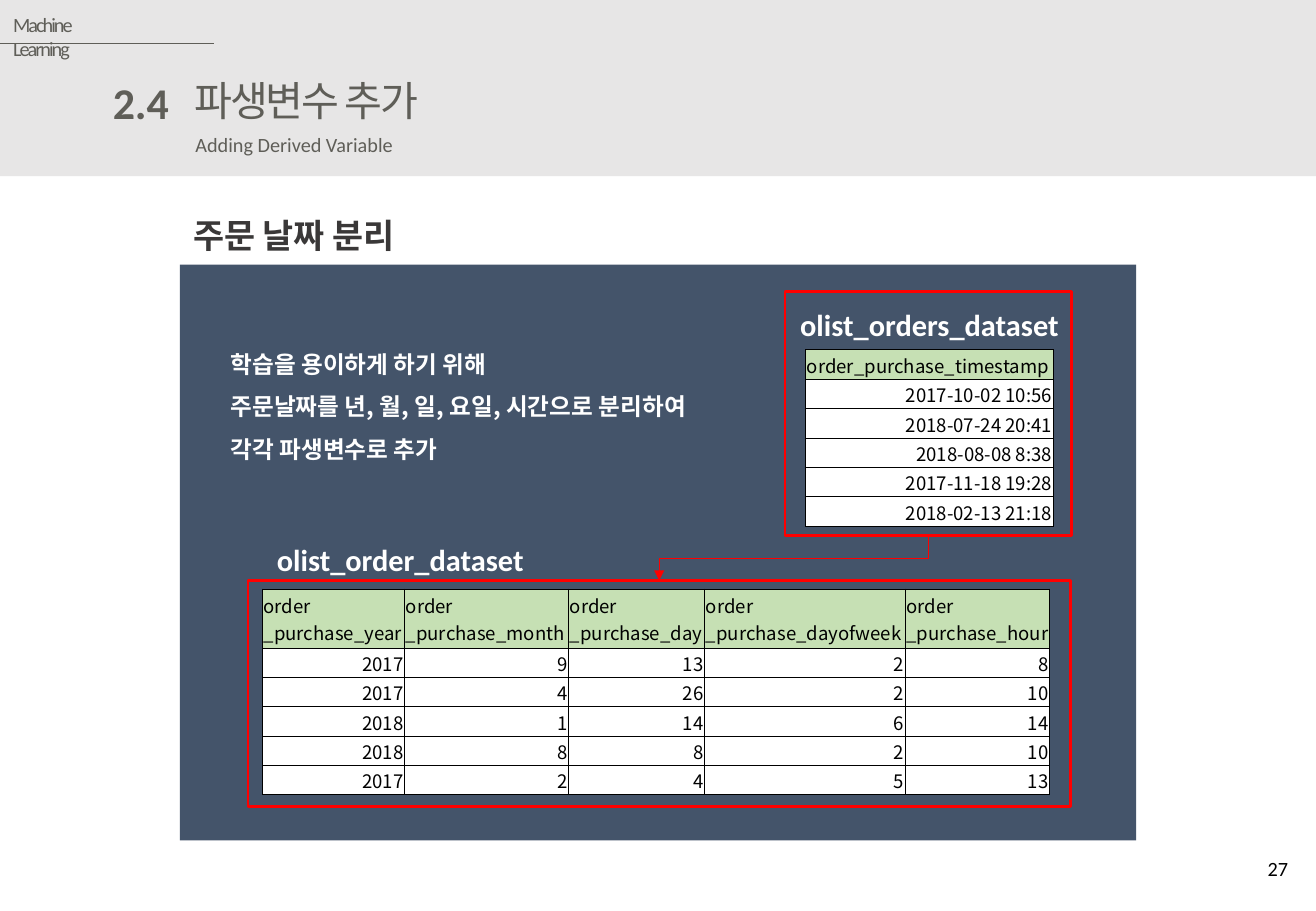
"""Build the slide on splitting an order date into derived variables."""
from dataclasses import dataclass
from lxml import etree
from pptx import Presentation, util as u
from pptx.dml.color import RGBColor
from pptx.enum import shapes, text
from pptx.oxml.ns import qn

LEFT, MID, RIGHT = text.PP_ALIGN.LEFT, text.PP_ALIGN.CENTER, text.PP_ALIGN.RIGHT
TOP, HALF = text.MSO_ANCHOR.TOP, text.MSO_ANCHOR.MIDDLE


@dataclass(frozen=True)
class Theme:
    """Colours, fonts and type sizes."""
    band: str = "E7E6E6"
    panel: str = "44546A"
    gray: str = "5F5E58"
    dark: str = "3A3838"
    white: str = "FFFFFF"
    black: str = "000000"
    red: str = "FF0000"
    green: str = "C6E0B4"
    latin: str = "Calibri"
    plain: str = "Arial"
    asian: str = "Noto Sans CJK KR"
    cell: float = 11
    small: float = 12
    body: float = 14
    label: float = 18
    head: float = 20
    title: float = 24.4
    number: float = 26


T = Theme()
COLS, ROWS = 108.3, 75
UNIT = u.Inches(0.1)

BAND = (0, 0, COLS, 14.5)
PANEL = (14.8, 21.8, 78.7, 47.4)
SOURCE = (64.6, 24, 23.6, 20.1)
RESULT = (20.4, 47.8, 67.7, 18.6)
RULE = (0, 3.6, 17.6, 3.6)

GRAY = dict(color=T.gray)
LABEL = dict(size=T.label, color=T.white, bold=True)
TEXTS = [
    ((0.1, 0.5, 11.5, 3), ["Machine Learning"], dict(GRAY, gap=-1.2, inset=(1, 0.5, 3, 0.5))),
    ((8.2, 5.7, 6.7, 5.4), ["2.4"], dict(GRAY, size=T.number, bold=True, align=RIGHT, wrap=False)),
    ((15, 5.7, 22.5, 5.1), ["파생변수 추가"],
     dict(GRAY, size=T.title, font=T.plain, gap=-1.2, wrap=False)),
    ((15.1, 10.4, 18.4, 3), ["Adding Derived Variable"], dict(GRAY, wrap=False)),
    ((14.9, 15.5, 20.1, 5.5), ["주문 날짜 분리"],
     dict(size=T.head, color=T.dark, bold=True, lead=1.5, wrap=False)),
    ((18, 26.1, 45.7, 13.5),
     ["학습을 용이하게 하기 위해", "주문날짜를 년, 월, 일, 요일, 시간으로 분리하여", "각각 파생변수로 추가"],
     dict(size=T.body, font=T.asian, color=T.white, bold=True, lead=1.5, anchor=HALF)),
    ((63.5, 24.7, 26, 4), ["olist_orders_dataset"], dict(LABEL, align=MID)),
    ((21.8, 44.1, 54.3, 4), ["olist_order_dataset"], LABEL),
    ((82.6, 69.5, 24.4, 4), ["27"], dict(align=RIGHT, anchor=HALF)),
]

STAMPS = [
    ["order_purchase_timestamp"],
    ["2017-10-02 10:56"],
    ["2018-07-24 20:41"],
    ["2018-08-08 8:38"],
    ["2017-11-18 19:28"],
    ["2018-02-13 21:18"],
]
PARTS = [
    [f"order\n_purchase_{part}" for part in ("year", "month", "day", "dayofweek", "hour")],
    [2017, 9, 13, 2, 8],
    [2017, 4, 26, 2, 10],
    [2018, 1, 14, 6, 14],
    [2018, 8, 8, 2, 10],
    [2017, 2, 4, 5, 13],
]
ROW = 2.42
TABLES = [
    ((66.3, 28.8), [20.4], ROW, STAMPS),
    ((21.6, 48.5), [11.7, 13.5, 11.2, 16.5, 11.9], 2 * ROW, PARTS),
]


def grid(*cells):
    """Turn grid cells into slide lengths."""
    return [round(cell * UNIT) for cell in cells]


def rgb(code):
    """Turn a hex code into a colour."""
    return RGBColor.from_string(code)


def write(frame, lines, size=T.small, font=T.latin, color=T.black, bold=False, align=LEFT,
          anchor=TOP, lead=None, gap=0, wrap=True, inset=(1, 0.5, 1, 0.5)):
    """Fill a text frame or a table cell with formatted paragraphs."""
    body = getattr(frame, "text_frame", frame)
    frame.vertical_anchor = anchor
    frame.margin_left, frame.margin_top, frame.margin_right, frame.margin_bottom = grid(*inset)
    body.word_wrap = wrap
    if not wrap:
        body.auto_size = text.MSO_AUTO_SIZE.SHAPE_TO_FIT_TEXT
    for i, line in enumerate(lines):
        para = body.add_paragraph() if i else body.paragraphs[0]
        para.text = line.replace("\n", "\v")
        para.alignment = align
        if lead:
            para.line_spacing = lead
        for run in para.runs:
            run.font.size, run.font.name, run.font.bold = u.Pt(size), font, bold
            run.font.color.rgb = rgb(color)
            props = run.font._element
            if gap:
                props.set("spc", str(round(gap * 100)))
            etree.SubElement(props, qn("a:ea"), typeface=T.asian)


def block(slide, area, fill=None, line=None):
    """Draw a filled or framed rectangle."""
    shape = slide.shapes.add_shape(shapes.MSO_SHAPE.RECTANGLE, *grid(*area))
    shape.shadow.inherit = False
    if fill:
        shape.fill.solid()
        shape.fill.fore_color.rgb = rgb(fill)
    else:
        shape.fill.background()
    if line:
        shape.line.color.rgb, shape.line.width = rgb(line), u.Pt(1.5)
    else:
        shape.line.fill.background()


def link(slide, kind, ends, color):
    """Draw a thin connector without a shadow."""
    line = slide.shapes.add_connector(kind, *grid(*ends))
    line.line.color.rgb, line.line.width = rgb(color), u.Pt(0.5)
    etree.SubElement(line._element.spPr, qn("a:effectLst"))
    return line


def arrow(slide):
    """Lead from the foot of the source frame to the top of the result frame."""
    x1, y1 = SOURCE[0] + SOURCE[2] / 2, SOURCE[1] + SOURCE[3]
    x2, y2 = RESULT[0] + RESULT[2] / 2, RESULT[1]
    midx, midy, drop, span = (x1 + x2) / 2, (y1 + y2) / 2, y2 - y1, x1 - x2
    ends = (midx - drop / 2, midy - span / 2, midx + drop / 2, midy + span / 2)
    line = link(slide, shapes.MSO_CONNECTOR.ELBOW, ends, T.red)
    line._element.spPr.find(qn("a:xfrm")).set("rot", "5400000")
    etree.SubElement(line.line._get_or_add_ln(), qn("a:tailEnd"), type="triangle")


def border(cell):
    """Put a thin black line on each side of a cell."""
    props = cell._tc.get_or_add_tcPr()
    for i, side in enumerate(("lnL", "lnR", "lnT", "lnB")):
        edge = etree.Element(qn(f"a:{side}"), w=str(int(u.Pt(0.5))))
        fill = etree.SubElement(edge, qn("a:solidFill"))
        etree.SubElement(fill, qn("a:srgbClr"), val=T.black)
        props.insert(i, edge)


def sheet(slide, spot, widths, top, data):
    """Draw a table with a green header row."""
    highs = [top] + [ROW] * (len(data) - 1)
    size = grid(*spot, sum(widths), sum(highs))
    table = slide.shapes.add_table(len(data), len(widths), *size).table
    for col, width in zip(table.columns, grid(*widths)):
        col.width = width
    for r, (row, high) in enumerate(zip(data, grid(*highs))):
        table.rows[r].height = high
        for c, value in enumerate(row):
            cell = table.cell(r, c)
            write(cell, [str(value)], size=T.cell, font=T.asian, anchor=HALF,
                  align=RIGHT if r else LEFT, inset=(0.1, 0.1, 0.1, 0))
            cell.fill.solid()
            cell.fill.fore_color.rgb = rgb(T.white if r else T.green)
            border(cell)


def main():
    """Lay out the slide and save it."""
    deck = Presentation()
    deck.slide_width, deck.slide_height = grid(COLS, ROWS)
    slide = deck.slides.add_slide(deck.slide_layouts[6])
    block(slide, BAND, fill=T.band)
    link(slide, shapes.MSO_CONNECTOR.STRAIGHT, RULE, T.gray)
    block(slide, PANEL, fill=T.panel)
    block(slide, SOURCE, line=T.red)
    arrow(slide)
    for table in TABLES:
        sheet(slide, *table)
    block(slide, RESULT, line=T.red)
    for area, lines, style in TEXTS:
        write(slide.shapes.add_textbox(*grid(*area)).text_frame, lines, **style)
    deck.save("out.pptx")


if __name__ == "__main__":
    main()
